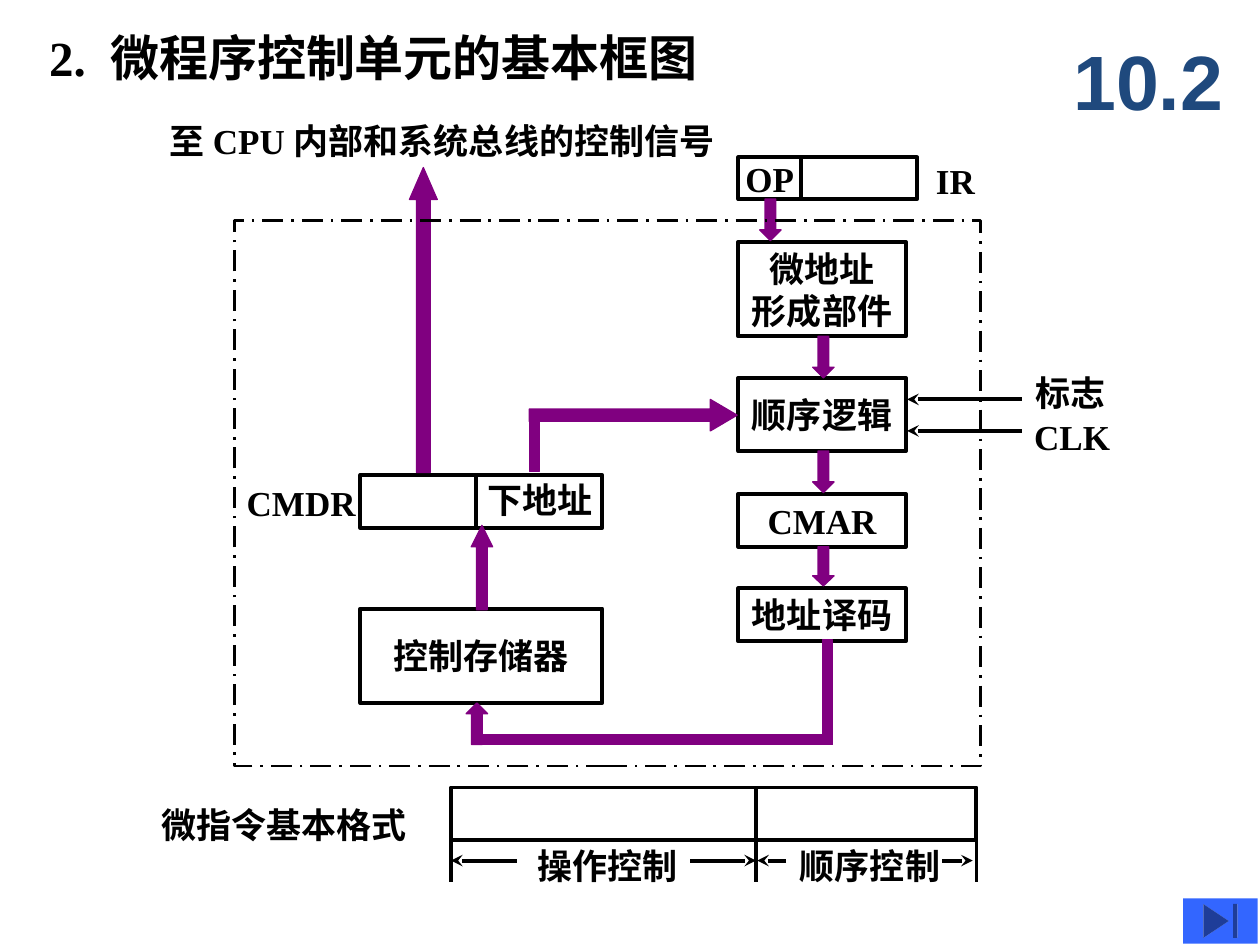
from dataclasses import dataclass

from lxml.etree import SubElement
from pptx import Presentation
from pptx.dml.color import RGBColor
from pptx.enum.dml import MSO_LINE
from pptx.enum.shapes import MSO_CONNECTOR, MSO_SHAPE
from pptx.enum.text import MSO_ANCHOR, MSO_AUTO_SIZE, PP_ALIGN
from pptx.oxml.ns import qn
from pptx.util import Inches, Pt


@dataclass(frozen=True)
class Theme:
    ink: RGBColor = RGBColor(0, 0, 0)
    flow: RGBColor = RGBColor(0x80, 0, 0x80)
    section: RGBColor = RGBColor(0x1F, 0x49, 0x7D)
    button: RGBColor = RGBColor(0x33, 0x66, 0xFF)
    font: str = "Times New Roman"
    section_font: str = "Arial"
    body: float = 20
    heading: float = 28
    number: float = 44
    rule: float = 2.25
    frame: float = 1.5
    hairline: float = 0.75


T = Theme()


@dataclass(frozen=True)
class Block:
    x: float
    y: float
    w: float
    h: float
    text: str = ""


@dataclass(frozen=True)
class Flow:
    kind: MSO_SHAPE
    x: float
    y: float
    w: float
    h: float
    adj: tuple = ()


@dataclass(frozen=True)
class Rule:
    x1: float
    y1: float
    x2: float
    y2: float
    arrow: bool = False


UNIT_X, UNIT_W = 5.86, 1.33
STORE_X, STORE_W = 2.86, 1.92
FORMAT_X, FORMAT_MID, FORMAT_END = 3.58, 6, 7.75
FORMAT_Y, ARROW_Y = 6.25, 6.83

BLOCKS = [
    Block(UNIT_X, 1.92, UNIT_W, 0.75, "微地址\n形成部件"),
    Block(UNIT_X, 3, UNIT_W, 0.58, "顺序逻辑"),
    Block(UNIT_X, 3.92, UNIT_W, 0.42, "CMAR"),
    Block(UNIT_X, 4.67, UNIT_W, 0.42, "地址译码"),
    Block(STORE_X, 4.83, STORE_W, 0.75, "控制存储器"),
    Block(STORE_X, 3.77, STORE_W, 0.42),
    Block(UNIT_X, 1.25, 0.5, 0.33, "OP"),
    Block(UNIT_X + 0.5, 1.25, 0.92, 0.33),
    Block(FORMAT_X, FORMAT_Y, FORMAT_MID - FORMAT_X, 0.42),
    Block(FORMAT_MID, FORMAT_Y, FORMAT_END - FORMAT_MID, 0.42),
]

FLOWS = [
    Flow(MSO_SHAPE.DOWN_ARROW, 6.03, 1.58, 0.17, 0.33, (0.5, 0.5)),
    Flow(MSO_SHAPE.DOWN_ARROW, 6.45, 2.67, 0.17, 0.33, (0.5, 0.5)),
    Flow(MSO_SHAPE.DOWN_ARROW, 6.45, 3.58, 0.17, 0.33, (0.5, 0.5)),
    Flow(MSO_SHAPE.DOWN_ARROW, 6.45, 4.34, 0.17, 0.31, (0.5, 0.47)),
    Flow(MSO_SHAPE.UP_ARROW, 3.74, 4.17, 0.17, 0.67, (0.5, 1)),
    Flow(MSO_SHAPE.RIGHT_ARROW, 4.2, 3.17, 1.65, 0.25, (0.39, 0.85)),
    Flow(MSO_SHAPE.RECTANGLE, 4.2, 3.26, 0.08, 0.48),
    Flow(MSO_SHAPE.RECTANGLE, 6.53, 5.08, 0.08, 0.83),
    Flow(MSO_SHAPE.UP_ARROW, 3.7, 5.58, 0.17, 0.33, (0.5, 0.5)),
    Flow(MSO_SHAPE.RECTANGLE, 3.78, 5.83, 2.75, 0.08),
    Flow(MSO_SHAPE.UP_ARROW, 3.25, 1.33, 0.22, 2.42, (0.5, 1.15)),
]

RULES = [
    *(Rule(8.11, y, 7.2, y, True) for y in (3.17, 3.42)),
    Rule(3.78, 3.77, 3.78, 4.18),
    *(Rule(x, 6.58, x, 7) for x in (FORMAT_X, FORMAT_MID, FORMAT_END)),
    Rule(4.1, ARROW_Y, FORMAT_X, ARROW_Y, True),
    Rule(5.48, ARROW_Y, FORMAT_MID, ARROW_Y, True),
    Rule(6.24, ARROW_Y, 6.01, ARROW_Y, True),
    Rule(7.48, ARROW_Y, 7.72, ARROW_Y, True),
]

LABELS = [
    Block(8.12, 2.9, 0.75, 0.44, "标志"),
    Block(8.11, 3.25, 0.8, 0.44, "CLK"),
    Block(3.77, 3.75, 1.03, 0.44, "下地址"),
    Block(1.86, 3.77, 1.06, 0.44, "CMDR"),
    Block(1.25, 0.9, 5, 0.44, "至 CPU 内部和系统总线的控制信号"),
    Block(7.33, 1.22, 0.83, 0.44, "IR"),
    Block(4.17, 6.65, 1.31, 0.44, "操作控制"),
    Block(6.25, 6.65, 1.31, 0.44, "顺序控制"),
    Block(1.18, 6.33, 2.15, 0.44, "微指令基本格式"),
]


def box(b: Block | Flow) -> tuple:
    return Inches(b.x), Inches(b.y), Inches(b.w), Inches(b.h)


def write(tf, text: str, size: float = T.body, color: RGBColor = T.ink,
          font: str = T.font, align=PP_ALIGN.LEFT, anchor=MSO_ANCHOR.TOP) -> None:
    tf.text = text
    tf.auto_size = MSO_AUTO_SIZE.NONE
    tf.word_wrap = False
    tf.vertical_anchor = anchor
    for p in tf.paragraphs:
        p.alignment = align
        p.font.name = font
        p.font.size = Pt(size)
        p.font.bold = True
        p.font.color.rgb = color


def add_block(s, b: Block, width: float = T.rule):
    sp = s.shapes.add_shape(MSO_SHAPE.RECTANGLE, *box(b))
    sp.shadow.inherit = False
    sp.fill.background()
    sp.line.color.rgb = T.ink
    sp.line.width = Pt(width)
    if b.text:
        write(sp.text_frame, b.text, align=PP_ALIGN.CENTER, anchor=MSO_ANCHOR.MIDDLE)
    return sp


def add_flow(s, f: Flow) -> None:
    sp = s.shapes.add_shape(f.kind, *box(f))
    sp.shadow.inherit = False
    for i, value in enumerate(f.adj):
        sp.adjustments[i] = value
    sp.fill.solid()
    sp.fill.fore_color.rgb = T.flow
    sp.line.color.rgb = T.flow
    sp.line.width = Pt(T.hairline)


def add_rule(s, rule: Rule) -> None:
    ends = (Inches(v) for v in (rule.x1, rule.y1, rule.x2, rule.y2))
    c = s.shapes.add_connector(MSO_CONNECTOR.STRAIGHT, *ends)
    c.line.color.rgb = T.ink
    c.line.width = Pt(T.rule)
    if rule.arrow:
        SubElement(c.line._get_or_add_ln(), qn("a:tailEnd"), type="stealth")
    SubElement(c._element.spPr, qn("a:effectLst"))


def add_label(s, b: Block, **style) -> None:
    write(s.shapes.add_textbox(*box(b)).text_frame, b.text, **style)


def add_button(s, b: Block) -> None:
    sp = s.shapes.add_shape(MSO_SHAPE.ACTION_BUTTON_END, *box(b))
    sp.shadow.inherit = False
    sp.fill.solid()
    sp.fill.fore_color.rgb = T.button
    sp.line.fill.background()


def main() -> None:
    prs = Presentation()
    prs.slide_width, prs.slide_height = Inches(10), Inches(7.5)
    s = prs.slides.add_slide(prs.slide_layouts[5])
    title = s.shapes.title
    heading = Block(0.29, 0.17, 5.44, 0.57, "2.  微程序控制单元的基本框图")
    title.left, title.top, title.width, title.height = box(heading)
    write(title.text_frame, heading.text, size=T.heading)

    for b in BLOCKS:
        add_block(s, b)
    for f in FLOWS:
        add_flow(s, f)
    frame = add_block(s, Block(1.86, 1.75, 5.92, 4.33), T.frame)
    frame.line.dash_style = MSO_LINE.LONG_DASH_DOT
    for rule in RULES:
        add_rule(s, rule)
    for b in LABELS:
        add_label(s, b)
    add_label(s, Block(8.42, 0.17, 1.58, 0.92, "10.2"), size=T.number,
              color=T.section, font=T.section_font, anchor=MSO_ANCHOR.MIDDLE)
    add_button(s, Block(9.39, 7.13, 0.59, 0.36))
    prs.save("out.pptx")


if __name__ == "__main__":
    main()
